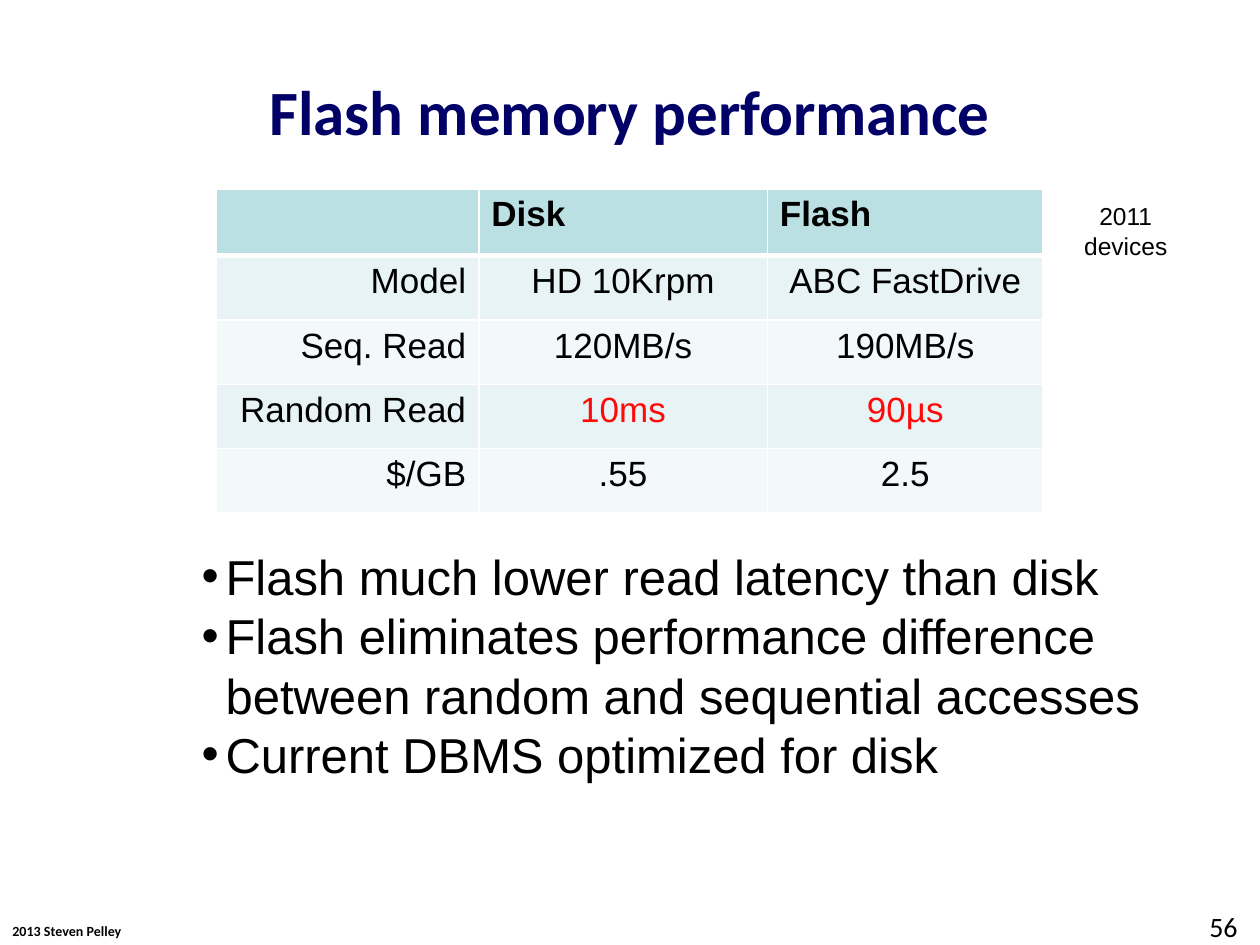
from pptx import Presentation
from pptx.dml.color import RGBColor
from pptx.enum.text import MSO_ANCHOR, MSO_AUTO_SIZE, PP_ALIGN
from pptx.oxml.ns import qn
from pptx.util import Inches, Pt
from lxml.etree import SubElement

# Content
TITLE = "Flash memory performance"
ROWS = [
    ("", "Disk", "Flash"),
    ("Model", "HD 10Krpm", "ABC FastDrive"),
    ("Seq. Read", "120MB/s", "190MB/s"),
    ("Random Read", "10ms", "90µs"),
    ("$/GB", ".55", "2.5"),
]
KEY_ROW = 3
POINTS = [
    ["Flash much lower read latency than disk"],
    ["Flash eliminates performance difference",
     "between random and sequential accesses"],
    ["Current DBMS optimized for disk"],
]
# Lines, place, font, size, bold, alignment
NOTES = [
    (["2011", "devices"], (8.5, 1.55, 0.87, 0.57), "Arial", 14, False, PP_ALIGN.CENTER),
    (["2013 Steven Pelley"], (0, 7.27, 1.07, 0.24), "Calibri", 8, True, PP_ALIGN.LEFT),
    (["56"], (9.5, 7.17, 0.5, 0.33), "Calibri", 16, False, PP_ALIGN.LEFT),
]
COLORS = {"title": "000066", "text": "000000", "key": "FF0909", "line": "FFFFFF",
          "head": "BBE0E3", "odd": "E7F3F4", "even": "F3F9FA"}
WIDTHS = [2.08, 2.29, 2.19]
HEIGHTS = [0.53] + [0.51] * 4


def color(name):
    return RGBColor.from_string(COLORS[name])


def write(para, lines, font, size, bold=False, hue="text", align=PP_ALIGN.LEFT):
    para.alignment = align
    for i, line in enumerate(lines):
        if i:
            para.add_line_break()
        run = para.add_run()
        run.text = line
        run.font.name, run.font.size, run.font.bold = font, Pt(size), bold
        run.font.color.rgb = color(hue)


def place(shape, box):
    shape.left, shape.top, shape.width, shape.height = map(Inches, box)


def border(cell, head):
    props = cell._tc.get_or_add_tcPr()
    for i, side in enumerate(("lnL", "lnR", "lnT", "lnB")):
        width = 3 if head and side == "lnB" else 1
        line = props.makeelement(qn("a:" + side), {"w": str(Pt(width))})
        fill = SubElement(line, qn("a:solidFill"))
        SubElement(fill, qn("a:srgbClr"), val=COLORS["line"])
        props.insert(i, line)


deck = Presentation()
deck.slide_width, deck.slide_height = Inches(10), Inches(7.5)
slide = deck.slides.add_slide(deck.slide_layouts[1])
title, body = slide.placeholders

# Title
place(title, (0.5, 0.5, 9, 0.75))
title.text_frame.vertical_anchor = MSO_ANCHOR.MIDDLE
write(title.text_frame.paragraphs[0], [TITLE], "Calibri", 36, True, "title", PP_ALIGN.CENTER)

# Table
frame = slide.shapes.add_table(len(ROWS), len(WIDTHS), Inches(1.72), Inches(1.5),
                               Inches(sum(WIDTHS)), Inches(sum(HEIGHTS)))
table = frame.table
for col, width in zip(table.columns, WIDTHS):
    col.width = Inches(width)
for r, (row, height) in enumerate(zip(ROWS, HEIGHTS)):
    table.rows[r].height = Inches(height)
    shade = "head" if r == 0 else "odd" if r % 2 else "even"
    for c, text in enumerate(row):
        cell = table.cell(r, c)
        cell.fill.solid()
        cell.fill.fore_color.rgb = color(shade)
        border(cell, r == 0)
        if text:
            align = (PP_ALIGN.LEFT if r == 0 else
                     PP_ALIGN.CENTER if c else PP_ALIGN.RIGHT)
            hue = "key" if r == KEY_ROW and c else "text"
            write(cell.text_frame.paragraphs[0], [text], "Arial", 20, r == 0, hue, align)

# Bullet list
place(body, (1.5, 4.28, 7.75, 1.99))
text = body.text_frame
text.auto_size, text.word_wrap = MSO_AUTO_SIZE.NONE, False
for i, lines in enumerate(POINTS):
    para = text.add_paragraph() if i else text.paragraphs[0]
    write(para, lines, "Arial", 28)
    para.space_before, para.line_spacing = Pt(0), Pt(34)
    props = para._p.get_or_add_pPr()
    props.set("marL", str(Inches(0.19)))
    props.set("indent", str(-Inches(0.19)))
    SubElement(props, qn("a:buFont"), typeface="Arial")
    SubElement(props, qn("a:buChar"), char="•")

# Side note, footer and page number
for lines, box, font, size, bold, align in NOTES:
    note = slide.shapes.add_textbox(*map(Inches, box))
    note.text_frame.word_wrap = False
    write(note.text_frame.paragraphs[0], lines, font, size, bold, "text", align)

deck.save("out.pptx")
